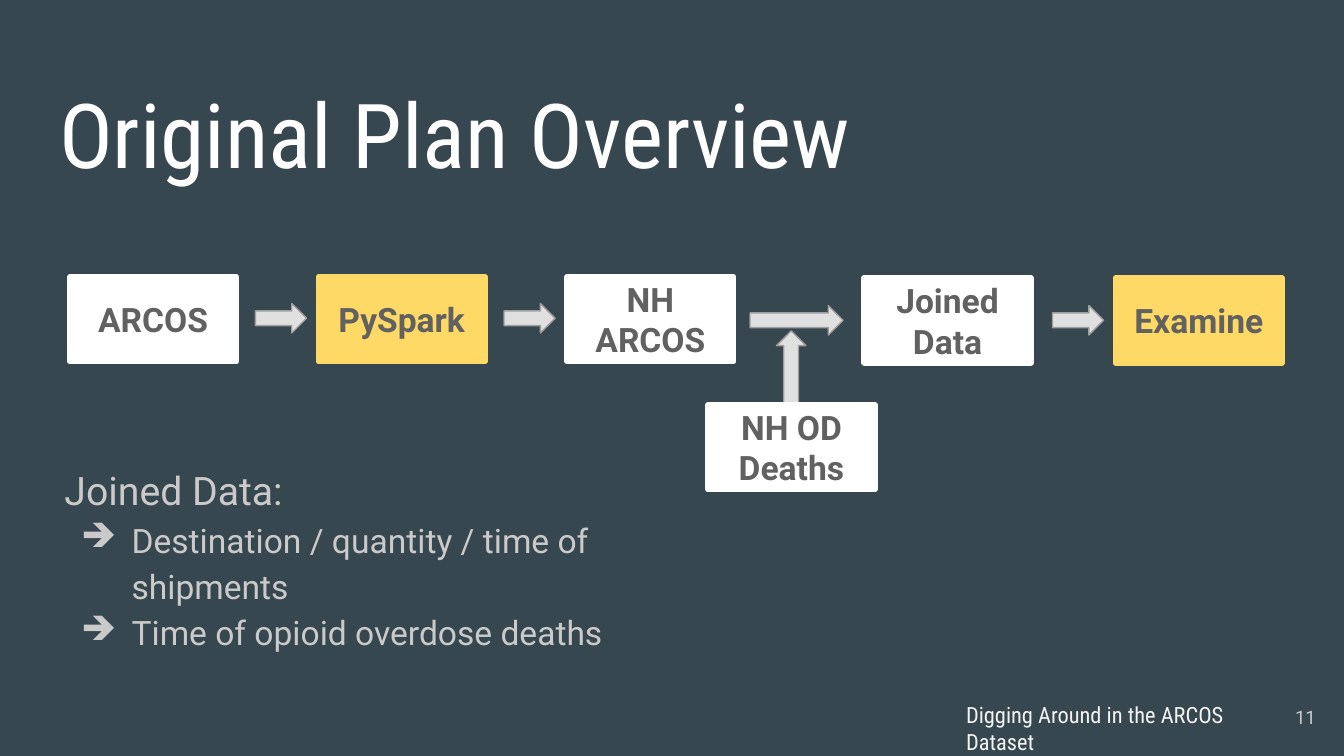
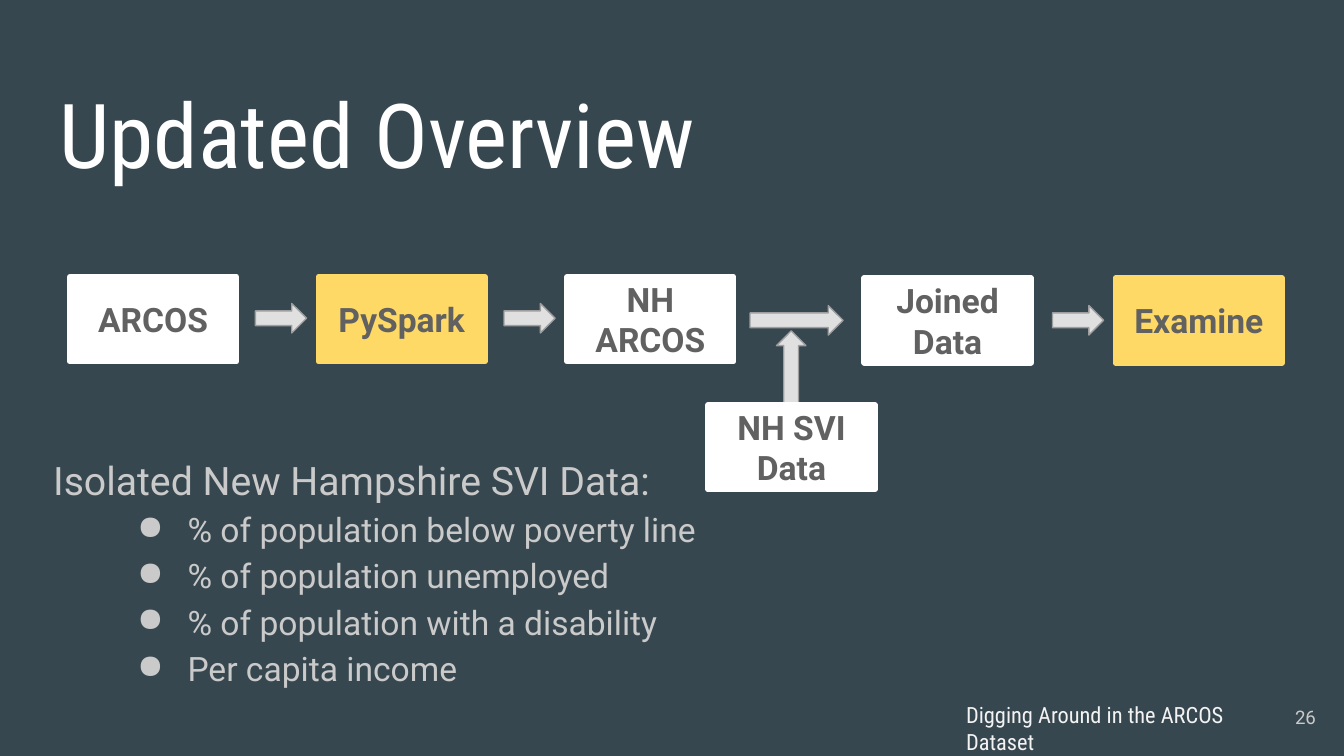
from dataclasses import dataclass

from lxml import etree
from pptx import Presentation
from pptx.dml.color import RGBColor
from pptx.enum.shapes import MSO_SHAPE
from pptx.enum.text import MSO_ANCHOR, MSO_AUTO_SIZE, PP_ALIGN
from pptx.oxml.ns import qn
from pptx.slide import Slide
from pptx.text.text import TextFrame, _Paragraph
from pptx.util import Pt

RECT, ARROW = MSO_SHAPE.RECTANGLE, MSO_SHAPE.RIGHT_ARROW
TOP, MIDDLE = MSO_ANCHOR.TOP, MSO_ANCHOR.MIDDLE
LEFT, CENTER, RIGHT = PP_ALIGN.LEFT, PP_ALIGN.CENTER, PP_ALIGN.RIGHT
NO_FIT = MSO_AUTO_SIZE.NONE

SLATE = RGBColor(0x37, 0x47, 0x4F)
WHITE = RGBColor(0xFF, 0xFF, 0xFF)
PALE = RGBColor(0xF3, 0xF3, 0xF3)
YELLOW = RGBColor(0xFF, 0xD9, 0x66)
INK = RGBColor(0x61, 0x61, 0x61)
SOFT = RGBColor(0xCA, 0xCA, 0xCA)
SILVER = RGBColor(0xE0, 0xE0, 0xE0)
EDGE = RGBColor(0x9E, 0x9E, 0x9E)

BODY_FONT, HEAD_FONT = "Roboto", "Roboto Condensed"
FOOTER = "Digging Around in the ARCOS Dataset"
TITLE_ONLY = 5
INSET = 7.2
BOX_W, BOX_H = 89.3, 45.4
ARROW_W, ARROW_H = 27.4, 15.8
START, STEP = 37.4, 133.2
ROW, LOW_ROW = 148.3, 149


@dataclass(frozen=True)
class Area:
    left: float
    top: float
    width: float
    height: float

    def lengths(self) -> tuple[Pt, Pt, Pt, Pt]:
        return Pt(self.left), Pt(self.top), Pt(self.width), Pt(self.height)


@dataclass(frozen=True)
class Style:
    size: float
    color: RGBColor
    font: str = BODY_FONT
    bold: bool = False
    align: PP_ALIGN = LEFT


@dataclass(frozen=True)
class Step:
    text: str
    left: float
    top: float = ROW
    fill: RGBColor = WHITE


@dataclass(frozen=True)
class Arrow:
    left: float
    top: float
    width: float = ARROW_W
    turn: float = 0


@dataclass(frozen=True)
class Points:
    heading: str
    items: list[str]
    bullet: str
    indent: float
    area: Area


@dataclass(frozen=True)
class Page:
    title: str
    number: str
    source: str
    points: Points


TITLE = Style(48, WHITE, HEAD_FONT)
LABEL = Style(18, INK, bold=True, align=CENTER)
HEADING = Style(21, SOFT)
ITEM = Style(18, SOFT)
FOOT = Style(12, PALE, HEAD_FONT)
NUMBER = Style(10, SOFT, align=RIGHT)

STEPS = [
    Step("ARCOS", START),
    Step("PySpark", START + STEP, fill=YELLOW),
    Step("NH ARCOS", START + 2 * STEP),
    Step("Joined Data", 463, LOW_ROW),
    Step("Examine", 597.6, LOW_ROW, YELLOW),
]
ARROWS = [
    Arrow(136.8, 162.6),
    Arrow(136.8 + STEP, 162.6),
    Arrow(401.8, 163.7, 49.8),
    Arrow(563.8, 163.7),
    Arrow(397.2, 196, 53.3, 270),
]
PAGES = [
    Page("Original Plan Overview", "11", "NH OD Deaths", Points(
        "Joined Data:",
        ["Destination / quantity / time of shipments",
         "Time of opioid overdose deaths"],
        "➔", 36, Area(27.4, 239, 368.6, 140.4))),
    Page("Updated Overview", "26", "NH SVI Data", Points(
        "Isolated New Hampshire SVI Data:",
        ["% of population below poverty line",
         "% of population unemployed",
         "% of population with a disability",
         "Per capita income"],
        "●", 72, Area(21.4, 233.3, 470.2, 140.4))),
]


def set_frame(frame: TextFrame, anchor: MSO_ANCHOR) -> None:
    frame.word_wrap = True
    frame.auto_size = NO_FIT
    frame.vertical_anchor = anchor
    frame.margin_left = frame.margin_right = Pt(INSET)
    frame.margin_top = frame.margin_bottom = Pt(INSET)


def style_line(line: _Paragraph, style: Style) -> None:
    line.alignment = style.align
    for run in line.runs:
        font = run.font
        font.name, font.size, font.bold = style.font, Pt(style.size), style.bold
        font.color.rgb = style.color


def fill_text(frame: TextFrame, text: str, style: Style, anchor: MSO_ANCHOR = TOP) -> None:
    set_frame(frame, anchor)
    frame.text = text
    style_line(frame.paragraphs[0], style)


def add_text(slide: Slide, area: Area, text: str, style: Style, anchor: MSO_ANCHOR = TOP) -> None:
    fill_text(slide.shapes.add_textbox(*area.lengths()).text_frame, text, style, anchor)


def add_solid(slide: Slide, kind: MSO_SHAPE, area: Area, fill: RGBColor, edge: RGBColor, weight: float):
    shape = slide.shapes.add_shape(kind, *area.lengths())
    shape.shadow.inherit = False
    shape.fill.solid()
    shape.fill.fore_color.rgb = fill
    shape.line.color.rgb = edge
    shape.line.width = Pt(weight)
    return shape


def add_step(slide: Slide, step: Step) -> None:
    area = Area(step.left, step.top, BOX_W, BOX_H)
    box = add_solid(slide, RECT, area, step.fill, step.fill, 3)
    fill_text(box.text_frame, step.text, LABEL, MIDDLE)


def add_arrow(slide: Slide, arrow: Arrow) -> None:
    area = Area(arrow.left, arrow.top, arrow.width, ARROW_H)
    add_solid(slide, ARROW, area, SILVER, EDGE, 0.75).rotation = arrow.turn


def add_bullet(line: _Paragraph, mark: str, indent: float) -> None:
    props = line._p.get_or_add_pPr()
    props.set("marL", str(Pt(indent)))
    props.set("indent", str(Pt(-27)))
    color = etree.SubElement(props, qn("a:buClr"))
    etree.SubElement(color, qn("a:srgbClr"), val=str(SOFT))
    etree.SubElement(props, qn("a:buChar"), char=mark)


def add_points(slide: Slide, points: Points) -> None:
    frame = slide.shapes.add_textbox(*points.area.lengths()).text_frame
    fill_text(frame, points.heading, HEADING)
    for item in points.items:
        line = frame.add_paragraph()
        line.text = item
        style_line(line, ITEM)
    for line in frame.paragraphs:
        line.line_spacing = 1.15
    for line in frame.paragraphs[1:]:
        add_bullet(line, points.bullet, points.indent)


def add_title(slide: Slide, text: str) -> None:
    title = slide.shapes.title
    title.left, title.top, title.width, title.height = Area(24.5, 35.3, 671, 45.4).lengths()
    fill_text(title.text_frame, text, TITLE)


def add_page(deck, page: Page) -> None:
    slide = deck.slides.add_slide(deck.slide_layouts[TITLE_ONLY])
    add_title(slide, page.title)
    for arrow in ARROWS:
        add_arrow(slide, arrow)
    for step in [*STEPS, Step(page.source, 379.4, 216.9)]:
        add_step(slide, step)
    add_points(slide, page.points)
    add_text(slide, Area(510.5, 368.6, 185, 31), FOOTER, FOOT)
    add_text(slide, Area(668.9, 368.6, 43.2, 31), page.number, NUMBER, MIDDLE)


def main() -> None:
    deck = Presentation()
    deck.slide_width, deck.slide_height = Pt(720), Pt(405)
    back = deck.slide_master.background.fill
    back.solid()
    back.fore_color.rgb = SLATE
    for page in PAGES:
        add_page(deck, page)
    deck.save("out.pptx")


if __name__ == "__main__":
    main()
